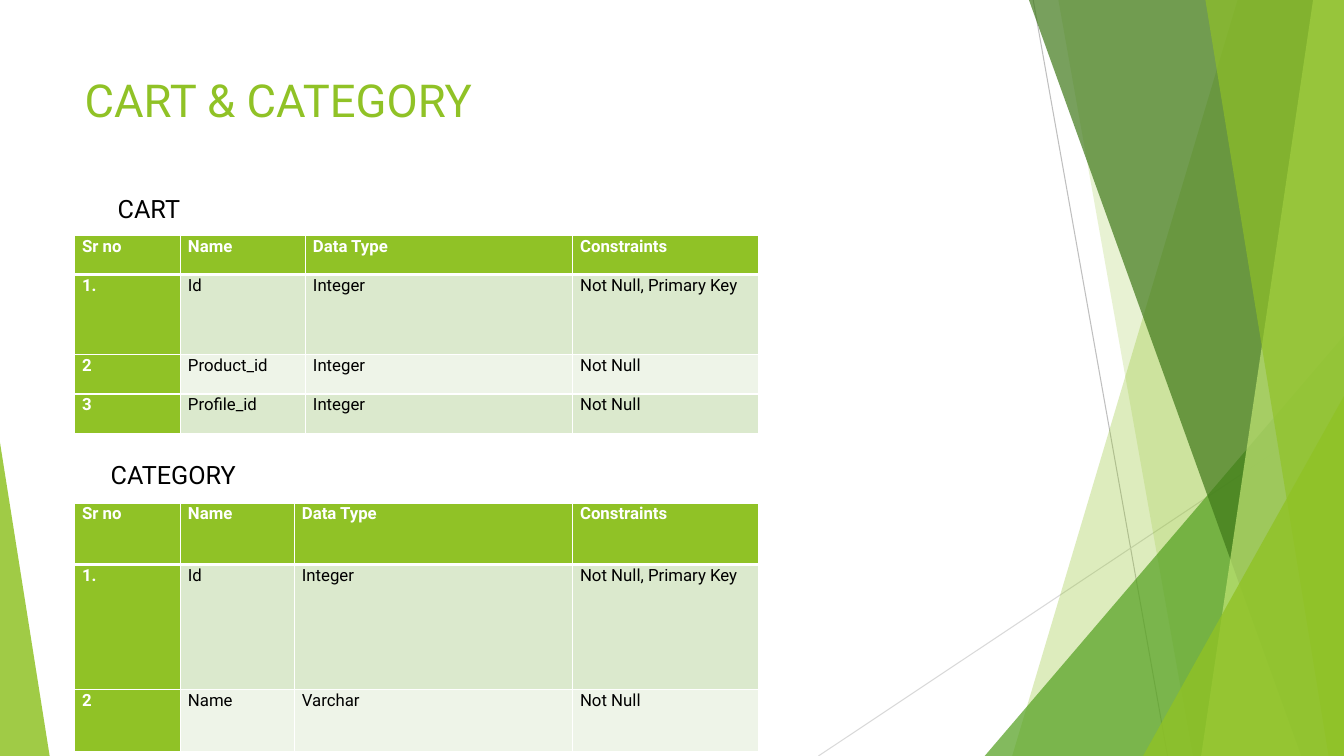
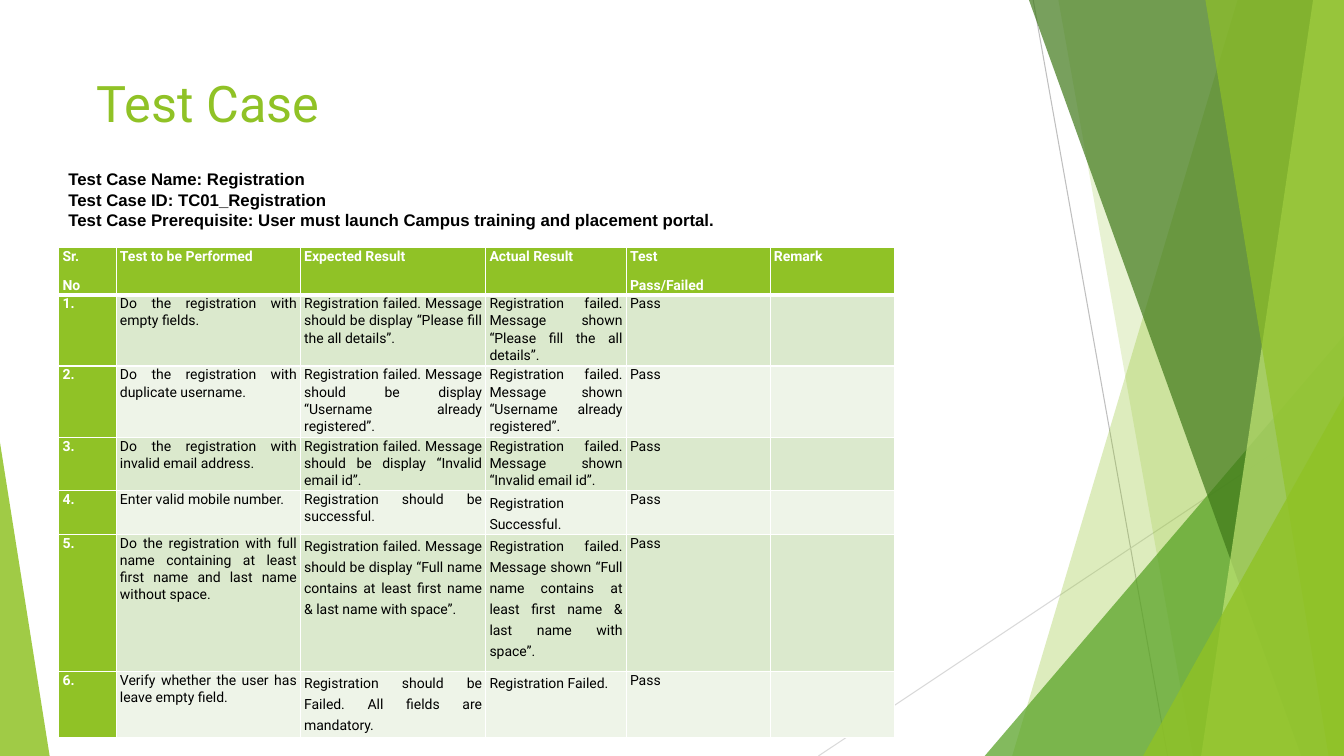
import pptx
import pptx.util
import pptx.dml.color
import pptx.enum.shapes
import pptx.enum.text
import pptx.oxml.ns
from dataclasses import dataclass
from lxml import etree

Pt = pptx.util.Pt
qn = pptx.oxml.ns.qn
WIDTH, HEIGHT = 960, 540


@dataclass(frozen=True)
class Theme:
    lime: str = "90C226"
    green: str = "54A021"
    forest: str = "3F7819"
    pale: str = "C0E474"
    bands: tuple = ("DBE9CD", "EEF4E8")
    white: str = "FFFFFF"
    black: str = "000000"
    font: str = "Roboto"
    note_font: str = "Arial"
    heading: float = 18
    note: float = 12
    rule: float = 1
    header_rule: float = 3


THEME = Theme()

# Shared decoration: lines, then facets from back to front
LINES = [((738, 0), (834, 540), "BFBFBF"), ((960, 290), (584.6, 540), "D9D9D9")]
# A slab runs from its top x and bottom x to the right edge;
# a wedge stands on the bottom edge: left, width, height, apex
FACETS = [
    ("slab", (884, 723), THEME.lime, 30),
    ("slab", (756, 852), THEME.lime, 20),
    ("wedge", (703.4, 256.6, 300.2, 1), THEME.green, 72),
    ("slab", (735, 929.5), THEME.forest, 70),
    ("slab", (938, 858), THEME.pale, 70),
    ("slab", (861, 949), THEME.lime, 65),
    ("wedge", (816.5, 143.5, 257, 1), THEME.lime, 80),
    ("wedge", (0, 35.5, 224, 0), THEME.lime, 85),
]

# Content
FIELD_HEADER = ["Sr no", "Name", "Data Type", "Constraints"]
ENTITIES = [
    dict(
        name="CART", name_at=(77, 134.6), at=(53.3, 168),
        widths=[75.6, 89.3, 190.8, 133.2], heights=[28, 57.5, 28, 28],
        rows=[
            FIELD_HEADER,
            ["1.", "Id", "Integer", "Not Null, Primary Key"],
            ["2", "Product_id", "Integer", "Not Null"],
            ["3", "Profile_id", "Integer", "Not Null"],
        ],
    ),
    dict(
        name="CATEGORY", name_at=(72, 324.7), at=(53.3, 359.3),
        widths=[75.6, 81.4, 198.7, 133.2], heights=[44, 89.3, 44],
        rows=[
            FIELD_HEADER,
            ["1.", "Id", "Integer", "Not Null, Primary Key"],
            ["2", "Name", "Varchar", "Not Null"],
        ],
    ),
]

TEST_CASE_FACTS = [
    "Test Case Name: Registration",
    "Test Case ID: TC01_Registration",
    "Test Case Prerequisite: User must launch Campus training and placement portal.",
]
TEST_CASES = dict(
    at=(42, 177), widths=[41, 131.6, 132.4, 100.4, 102.8, 88.8],
    heights=[33, 49, 49, 37, 31, 98, 47],
    rows=[
        ["Sr.\nNo", "Test to be Performed", "Expected Result", "Actual Result",
         "Test\nPass/Failed", "Remark"],
        ["1.", "Do the registration with empty fields.",
         "Registration failed. Message should be display “Please fill the all details”.",
         "Registration failed. Message shown “Please fill the all details”.", "Pass", ""],
        ["2.", "Do the registration with duplicate username.",
         "Registration failed. Message should be display “Username already registered”.",
         "Registration failed. Message shown “Username already registered”.", "Pass", ""],
        ["3.", "Do the registration with invalid email address.",
         "Registration failed. Message should be display “Invalid email id”.",
         "Registration failed. Message shown “Invalid email id”.", "Pass", ""],
        ["4.", "Enter valid mobile number.",
         "Registration should be successful.",
         "Registration Successful.", "Pass", ""],
        ["5.", "Do the registration with full name containing at least first name "
         "and last name without space.",
         "Registration failed. Message should be display “Full name contains at least "
         "first name & last name with space”.",
         "Registration failed. Message shown “Full name contains at least first name "
         "& last name with space”.", "Pass", ""],
        ["6.", "Verify whether the user has leave empty field.",
         "Registration should be Failed. All fields are mandatory.",
         "Registration Failed.", "Pass", ""],
    ],
)
# (row, column) of cells with wider line spacing
LOOSE_CELLS = {(4, 3), (5, 2), (5, 3), (6, 2), (6, 3)}


def rgb(value):
    return pptx.dml.color.RGBColor.from_string(value)


def style(font, size, color, bold=False, name=THEME.font):
    font.name, font.size, font.bold = name, Pt(size), bold
    font.color.rgb = rgb(color)


# Slide frame
def draw_facet(slide, kind, geometry, color, opacity):
    if kind == "slab":
        top_x, bottom_x = geometry
        corners = [(WIDTH, 0), (WIDTH, HEIGHT), (bottom_x, HEIGHT)]
        outline = slide.shapes.build_freeform(Pt(top_x), 0)
        outline.add_line_segments([(Pt(x), Pt(y)) for x, y in corners], close=True)
        facet = outline.convert_to_shape()
    else:
        left, width, height, apex = geometry
        facet = slide.shapes.add_shape(
            pptx.enum.shapes.MSO_SHAPE.ISOSCELES_TRIANGLE,
            Pt(left), Pt(HEIGHT - height), Pt(width), Pt(height))
        facet.adjustments[0] = apex
    facet.shadow.inherit = False
    facet.fill.solid()
    facet.fill.fore_color.rgb = rgb(color)
    tint = facet._element.spPr.find(".//" + qn("a:srgbClr"))
    etree.SubElement(tint, qn("a:alpha"), val=str(opacity * 1000))
    facet.line.fill.background()


def add_text(slide, lines, box, size, color, **font):
    frame = slide.shapes.add_textbox(*map(Pt, box)).text_frame
    frame.word_wrap = True
    frame.text = "\n".join(lines)
    for paragraph in frame.paragraphs:
        style(paragraph.runs[0].font, size, color, **font)


def new_slide(deck, title, title_left, title_size):
    slide = deck.slides.add_slide(deck.slide_layouts[6])
    for start, end, color in LINES:
        line = slide.shapes.add_connector(
            pptx.enum.shapes.MSO_CONNECTOR.STRAIGHT, *map(Pt, start + end))
        line.line.color.rgb = rgb(color)
        line.line.width = Pt(0.75)
        etree.SubElement(line._element.spPr, qn("a:effectLst"))
    for facet in FACETS:
        draw_facet(slide, *facet)
    add_text(slide, [title], (title_left, 48.2, 677, 104), title_size, THEME.lime)
    return slide


# Tables
def add_border(cell, side, width):
    border = etree.SubElement(
        cell._tc.get_or_add_tcPr(), qn("a:ln" + side), w=str(Pt(width)))
    fill = etree.SubElement(border, qn("a:solidFill"))
    etree.SubElement(fill, qn("a:srgbClr"), val=THEME.white)


def fill_cell(cell, text, row, column, size, inset, justify, loose):
    for side in "LRTB":
        under_header = (row, side) in ((0, "B"), (1, "T"))
        add_border(cell, side, THEME.header_rule if under_header else THEME.rule)
    is_head = row == 0 or column == 0
    cell.fill.solid()
    cell.fill.fore_color.rgb = rgb(THEME.lime if is_head else THEME.bands[(row - 1) % 2])
    cell.margin_left = cell.margin_right = Pt(inset)
    cell.margin_top = cell.margin_bottom = 0
    cell.text_frame.text = text
    for paragraph in cell.text_frame.paragraphs:
        if justify:
            paragraph.alignment = pptx.enum.text.PP_ALIGN.JUSTIFY
        paragraph.line_spacing = Pt(15) if loose else 1.06
        paragraph.space_after = Pt(8)
        style(paragraph.font, size, THEME.white if is_head else THEME.black, is_head)
        for run in paragraph.runs:
            style(run.font, size, THEME.white if is_head else THEME.black, is_head)


def add_grid(slide, content, size, inset, justify=False, loose_cells=()):
    rows, widths, heights = content["rows"], content["widths"], content["heights"]
    grid = slide.shapes.add_table(
        len(rows), len(widths), *map(Pt, content["at"]),
        Pt(sum(widths)), Pt(sum(heights))).table
    grid.horz_banding = False
    for column, width in zip(grid.columns, widths):
        column.width = Pt(width)
    for r, (texts, height) in enumerate(zip(rows, heights)):
        grid.rows[r].height = Pt(height)
        for c, text in enumerate(texts):
            fill_cell(grid.cell(r, c), text, r, c, size, inset, justify,
                      (r, c) in loose_cells)


def main():
    deck = pptx.Presentation()
    deck.slide_width, deck.slide_height = Pt(WIDTH), Pt(HEIGHT)

    # Cart and category
    slide = new_slide(deck, "CART & CATEGORY", 53.3, 32.4)
    for entity in ENTITIES:
        add_grid(slide, entity, size=12, inset=5.4)
        add_text(slide, [entity["name"]], (*entity["name_at"], 160, 29),
                 THEME.heading, THEME.black)

    # Test case
    slide = new_slide(deck, "Test Case", 62.2, 36)
    add_grid(slide, TEST_CASES, size=10, inset=2.7, justify=True,
             loose_cells=LOOSE_CELLS)
    add_text(slide, TEST_CASE_FACTS, (41.8, 117.3, 775, 49), THEME.note, THEME.black,
             bold=True, name=THEME.note_font)

    deck.save("out.pptx")


if __name__ == "__main__":
    main()
